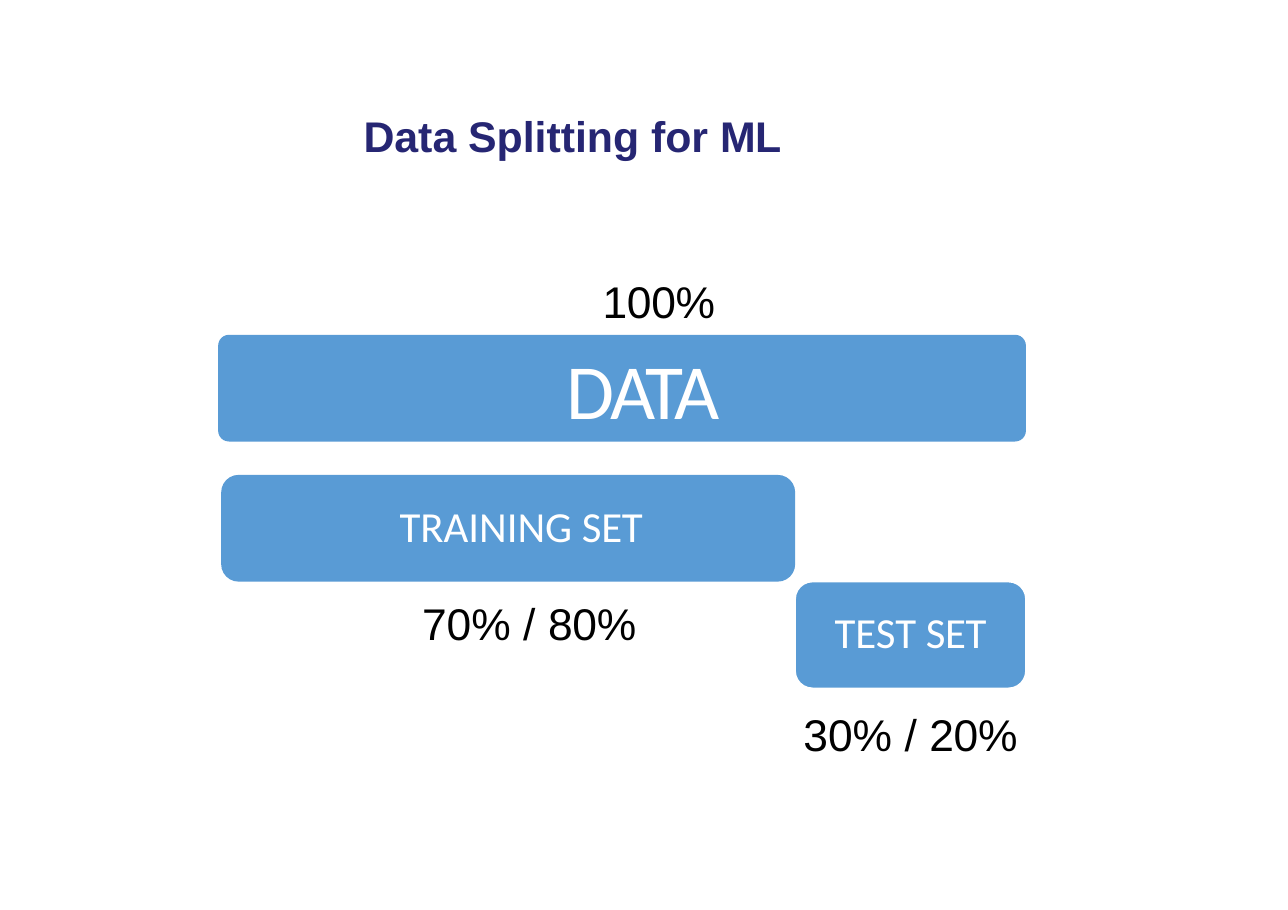
from dataclasses import dataclass

from pptx import Presentation
from pptx.dml.color import RGBColor
from pptx.enum.shapes import MSO_SHAPE as Preset
from pptx.enum.text import MSO_ANCHOR as Anchor, MSO_AUTO_SIZE as AutoSize, PP_ALIGN as Align
from pptx.shapes.autoshape import Shape
from pptx.slide import Slide
from pptx.text.text import TextFrame
from pptx.util import Cm, Pt

COLORS = {"heading": "262673", "bar": "599BD5", "label": "FFFFFF", "share": "000000"}
BAR_HEIGHT = 2.46


@dataclass(frozen=True)
class TextStyle:
    font: str
    size: float
    color: str
    bold: bool = False


@dataclass(frozen=True)
class Piece:
    text: str
    tracking: float = 0  # points between letters


@dataclass(frozen=True)
class Bar:
    label: tuple[Piece, ...]
    left: float
    top: float
    width: float
    radius: float
    style: TextStyle
    inset_left: float = 0
    inset_bottom: float = 0
    outlined: bool = False


@dataclass(frozen=True)
class Share:
    label: tuple[Piece, ...]
    left: float
    top: float
    width: float


HEADING_STYLE = TextStyle("Arial", 28, "heading", bold=True)
DATA_STYLE = TextStyle("Calibri", 51, "label")
SET_STYLE = TextStyle("Calibri", 28, "label")
SHARE_STYLE = TextStyle("Arial", 29, "share")

HEADING = (Piece("Data Splitting for "), Piece("ML", -0.3))
BARS = (
    Bar((Piece("DATA", -2.2),), 5.03, 7.72, 18.62, 0.25, DATA_STYLE, inset_left=0.97),
    Bar((Piece("TRAINING "), Piece("SET", -0.2)), 5.1, 10.95, 13.23, 0.4, SET_STYLE,
        inset_left=0.6, inset_bottom=0.15),
    Bar((Piece("TEST "), Piece("SET", -0.2)), 18.33, 13.41, 5.32, 0.4, SET_STYLE,
        inset_bottom=0.15, outlined=True),
)
SHARES = (
    Share((Piece("100%", -0.2),), 13.89, 6.33, 2.67),
    Share((Piece("70% / "), Piece("80%", -0.2)), 9.73, 13.74, 5.03),
    Share((Piece("30% / "), Piece("20%", -0.2)), 18.52, 16.31, 5.03),
)


def rgb(name: str) -> RGBColor:
    return RGBColor.from_string(COLORS[name])


def write(frame: TextFrame, pieces: tuple[Piece, ...], style: TextStyle,
          align: Align = Align.LEFT, anchor: Anchor = Anchor.TOP) -> None:
    """Fill a frame with one line of styled runs, without margins."""
    frame.margin_left = frame.margin_top = frame.margin_right = frame.margin_bottom = 0
    frame.word_wrap = False
    frame.auto_size = AutoSize.NONE
    frame.vertical_anchor = anchor
    line = frame.paragraphs[0]
    line.alignment = align
    for piece in pieces:
        run = line.add_run()
        run.text = piece.text
        run.font.name = style.font
        run.font.size = Pt(style.size)
        run.font.bold = style.bold
        run.font.color.rgb = rgb(style.color)
        if piece.tracking:
            run.font._element.set("spc", str(round(piece.tracking * 100)))


def place_heading(title: Shape) -> None:
    title.left, title.top, title.width, title.height = Cm(8.38), Cm(2.53), Cm(9.7), Cm(1.2)
    write(title.text_frame, HEADING, HEADING_STYLE)


def add_bar(slide: Slide, bar: Bar) -> None:
    shape = slide.shapes.add_shape(Preset.ROUNDED_RECTANGLE, Cm(bar.left), Cm(bar.top),
                                   Cm(bar.width), Cm(BAR_HEIGHT))
    shape.adjustments[0] = bar.radius / BAR_HEIGHT
    shape.shadow.inherit = False
    shape.fill.solid()
    shape.fill.fore_color.rgb = rgb("bar")
    if bar.outlined:
        shape.line.color.rgb = rgb("label")
        shape.line.width = Pt(1.04)
    else:
        shape.line.fill.background()
    write(shape.text_frame, bar.label, bar.style, Align.CENTER, Anchor.MIDDLE)
    shape.text_frame.margin_left = Cm(bar.inset_left)
    shape.text_frame.margin_bottom = Cm(bar.inset_bottom)


def add_share(slide: Slide, share: Share) -> None:
    box = slide.shapes.add_textbox(Cm(share.left), Cm(share.top), Cm(share.width), Cm(1.2))
    write(box.text_frame, share.label, SHARE_STYLE)


def main() -> None:
    deck = Presentation()
    deck.slide_width, deck.slide_height = Cm(29.69), Cm(20.98)
    slide = deck.slides.add_slide(deck.slide_layouts.get_by_name("Title Only"))
    place_heading(slide.shapes.title)
    for bar in BARS:
        add_bar(slide, bar)
    for share in SHARES:
        add_share(slide, share)
    deck.save("out.pptx")


if __name__ == "__main__":
    main()
